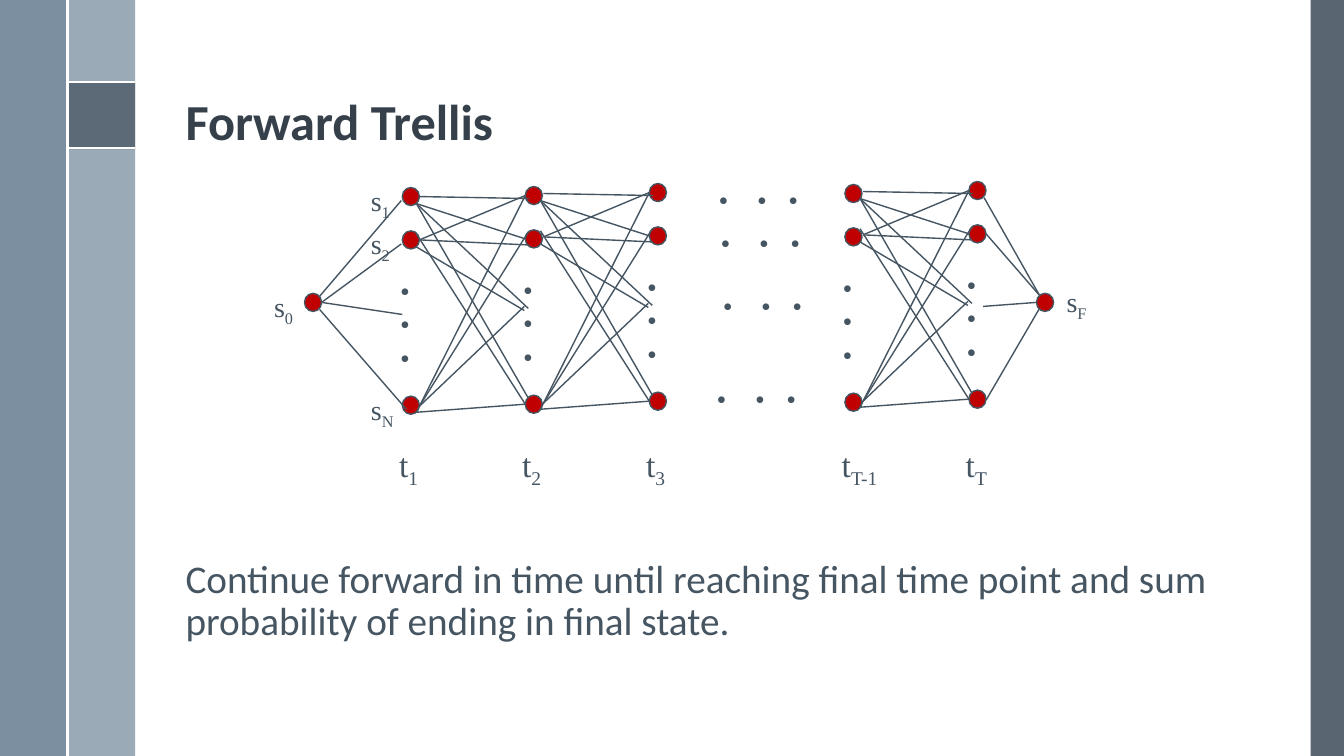
from dataclasses import dataclass

import lxml.etree
import pptx
import pptx.dml.color
import pptx.enum.shapes
import pptx.enum.text
import pptx.oxml.ns
import pptx.shapes.autoshape
import pptx.slide
import pptx.text.text
import pptx.util

Inches = pptx.util.Inches
Pt = pptx.util.Pt
RGBColor = pptx.dml.color.RGBColor
Shapes = pptx.enum.shapes.MSO_SHAPE
qn = pptx.oxml.ns.qn

WHITE = RGBColor(0xFF, 0xFF, 0xFF)
SLATE = RGBColor(0x46, 0x55, 0x62)
TITLE = RGBColor(0x35, 0x40, 0x4A)
RED = RGBColor(0xC0, 0x00, 0x00)
DARK_BAND = RGBColor(0x47, 0x55, 0x62)
LIGHT_BAND = RGBColor(0x9B, 0xAA, 0xB7)
BLUE_BAND = RGBColor(0x6A, 0x80, 0x93)
SERIF = "Times New Roman"
SANS = "Calibri"

NODE_WIDTH, NODE_HEIGHT = 0.17, 0.18
ROW_OFFSETS = (0, 0.43, 2.07)


@dataclass(frozen=True)
class Band:
    left: float
    top: float
    width: float
    height: float
    color: RGBColor
    opacity: int


@dataclass(frozen=True)
class Label:
    letter: str
    index: str
    left: float
    top: float
    width: float


@dataclass(frozen=True)
class Column:
    left: float
    top: float
    index: str
    label_width: float
    linked: bool


@dataclass(frozen=True)
class Link:
    x1: float
    y1: float
    x2: float
    y2: float


BANDS = (
    Band(13, 0, 0.33, 7.5, DARK_BAND, 90),
    Band(0.67, 0, 0.67, 7.5, LIGHT_BAND, 100),
    Band(0, 0, 0.67, 7.5, BLUE_BAND, 88),
    Band(0.67, 0.81, 0.67, 0.67, DARK_BAND, 75),
)
RULES = (Link(0.67, 0.81, 1.34, 0.81), Link(0.67, 1.47, 1.34, 1.47), Link(0.67, 0, 0.67, 7.5))
PI_OUTLINE = (
    (1.18, 0.98), (0.9, 0.98), (0.86, 1), (0.83, 1.04), (0.84, 1.05), (0.85, 1.05),
    (0.87, 1.02), (0.9, 1.01), (0.94, 1.01), (0.93, 1.14), (0.91, 1.22), (0.88, 1.27),
    (0.88, 1.29), (0.9, 1.29), (0.94, 1.21), (0.96, 1.11), (0.97, 1.01), (1.06, 1.01),
    (1.05, 1.22), (1.05, 1.26), (1.07, 1.29), (1.1, 1.3), (1.12, 1.3), (1.16, 1.28),
    (1.19, 1.22), (1.18, 1.21), (1.16, 1.22), (1.14, 1.26), (1.11, 1.28), (1.08, 1.27),
    (1.07, 1.22), (1.09, 1.01), (1.18, 1.01), (1.19, 1),
)
COLUMNS = (
    Column(3.99, 1.86, "1", 0.43, False),
    Column(5.21, 1.85, "2", 0.43, True),
    Column(6.44, 1.82, "3", 0.43, True),
    Column(8.38, 1.83, "T-1", 0.63, False),
    Column(9.61, 1.8, "T", 0.46, True),
)
INCOMING_LINKS = (
    Link(-1.05, 0.1, 0.04, 0.12),
    Link(-1.08, 0.17, 0, 0.52),
    Link(-1.08, 0.17, 0.03, 2.1),
    Link(-1.08, 0.17, 0.03, 1.21),
    Link(-1.05, 0.53, 0, 0.09),
    Link(-1.05, 0.53, 0.03, 0.58),
    Link(-1.08, 0.47, 0, 2.16),
    Link(-1.08, 2.24, 0, 0.09),
    Link(-1.05, 2.18, 0.03, 0.45),
    Link(-1.08, 2.24, 0, 2.16),
    Link(-1.05, 2.18, -0.01, 1.19),
    Link(-1.08, 0.6, -0.01, 1.23),
)
END_LINKS = (
    Link(3.17, 2.94, 3.98, 1.99),
    Link(3.19, 3, 3.98, 2.42),
    Link(3.19, 3, 3.99, 3.12),
    Link(3.17, 3.07, 4.03, 4.06),
    Link(9.76, 1.96, 10.31, 2.93),
    Link(9.78, 2.32, 10.31, 2.93),
    Link(9.75, 3.04, 10.28, 3),
    Link(9.78, 3.97, 10.31, 3.06),
)
END_NODES = ((3.02, 2.91), (10.28, 2.91))
STATE_LABELS = (
    Label("s", "1", 3.58, 1.77, 0.4),
    Label("s", "2", 3.58, 2.2, 0.4),
    Label("s", "N", 3.58, 3.84, 0.45),
    Label("s", "0", 2.62, 2.82, 0.4),
    Label("s", "F", 10.48, 2.77, 0.43),
)
ELLIPSES = ((7.03, 1.76), (7.05, 2.19), (7.07, 2.81), (7.01, 3.74))
ELLIPSIS_TABS = (0.38, 0.69)


def set_font(para: pptx.text.text._Paragraph, name: str, size: float, color: RGBColor) -> None:
    para.font.name = name
    para.font.size = Pt(size)
    para.font.color.rgb = color


def add_band(page: pptx.slide.Slide, band: Band) -> None:
    shape = page.shapes.add_shape(
        Shapes.RECTANGLE, Inches(band.left), Inches(band.top), Inches(band.width), Inches(band.height))
    shape.shadow.inherit = False
    shape.line.fill.background()
    shape.fill.solid()
    shape.fill.fore_color.rgb = band.color
    if band.opacity < 100:
        color = shape.fill._xPr.find(".//" + qn("a:srgbClr"))
        lxml.etree.SubElement(color, qn("a:alpha")).set("val", str(band.opacity * 1000))


def add_line(page: pptx.slide.Slide, link: Link, color: RGBColor, width: float,
             left: float = 0, top: float = 0) -> None:
    line = page.shapes.add_connector(
        pptx.enum.shapes.MSO_CONNECTOR.STRAIGHT,
        Inches(left + link.x1), Inches(top + link.y1), Inches(left + link.x2), Inches(top + link.y2))
    line.line.color.rgb = color
    line.line.width = Pt(width)
    lxml.etree.SubElement(line._element.spPr, qn("a:effectLst"))


def add_pi(page: pptx.slide.Slide) -> None:
    builder = page.shapes.build_freeform(*PI_OUTLINE[0], scale=Inches(1))
    builder.add_line_segments(PI_OUTLINE[1:], close=True)
    symbol = builder.convert_to_shape()
    symbol.shadow.inherit = False
    symbol.fill.solid()
    symbol.fill.fore_color.rgb = WHITE
    symbol.line.fill.background()


def add_node(page: pptx.slide.Slide, left: float, top: float) -> None:
    node = page.shapes.add_shape(
        Shapes.OVAL, Inches(left), Inches(top), Inches(NODE_WIDTH), Inches(NODE_HEIGHT))
    node.shadow.inherit = False
    node.fill.solid()
    node.fill.fore_color.rgb = RED
    node.line.color.rgb = SLATE
    node.line.width = Pt(1)


def add_text(page: pptx.slide.Slide, text: str, left: float, top: float, width: float,
             height: float, size: float = 20) -> pptx.shapes.autoshape.Shape:
    box = page.shapes.add_textbox(Inches(left), Inches(top), Inches(width), Inches(height))
    box.text_frame.word_wrap = False
    box.text_frame.auto_size = pptx.enum.text.MSO_AUTO_SIZE.SHAPE_TO_FIT_TEXT
    box.text_frame.text = text
    for para in box.text_frame.paragraphs:
        set_font(para, SERIF, size, SLATE)
    return box


def add_label(page: pptx.slide.Slide, label: Label, height: float, size: float) -> None:
    box = add_text(page, label.letter, label.left, label.top, label.width, height, size)
    span = box.text_frame.paragraphs[0].add_run()
    span.text = label.index
    span._r.get_or_add_rPr().set("baseline", "-25000")


def add_ellipsis(page: pptx.slide.Slide, left: float, top: float) -> None:
    box = add_text(page, "•\t•\t•", left, top, 1.08, 0.44)
    box.text_frame.word_wrap = True
    properties = box.text_frame.paragraphs[0]._p.get_or_add_pPr()
    tabs = lxml.etree.Element(qn("a:tabLst"))
    for position in ELLIPSIS_TABS:
        tab = lxml.etree.SubElement(tabs, qn("a:tab"))
        tab.set("pos", str(Inches(position)))
        tab.set("algn", "l")
    properties.insert(0, tabs)


def fill_placeholder(box: pptx.shapes.autoshape.Shape, text: str, top: float, height: float,
                     size: float, color: RGBColor, bold: bool) -> None:
    box.left, box.top, box.width, box.height = Inches(1.74), Inches(top), Inches(10.7), Inches(height)
    frame = box.text_frame
    frame.text = text
    frame.word_wrap = True
    frame.auto_size = pptx.enum.text.MSO_AUTO_SIZE.NONE
    frame.vertical_anchor = pptx.enum.text.MSO_ANCHOR.BOTTOM
    para = frame.paragraphs[0]
    para.alignment = pptx.enum.text.PP_ALIGN.LEFT
    para.line_spacing = 0.9
    para.space_before = Pt(0)
    set_font(para, SANS, size, color)
    para.font.bold = bold
    properties = para._p.get_or_add_pPr()
    properties.set("marL", "0")
    properties.set("indent", "0")
    properties.find(qn("a:defRPr")).addprevious(lxml.etree.Element(qn("a:buNone")))


def add_column(page: pptx.slide.Slide, column: Column) -> None:
    for offset in ROW_OFFSETS:
        add_node(page, column.left, column.top + offset)
    add_text(page, "•\n•\n•", column.left - 0.12, column.top + 0.8, 0.33, 1.11)
    add_label(page, Label("t", column.index, column.left - 0.13, 4.35, column.label_width), 0.5, 24)
    if column.linked:
        for link in INCOMING_LINKS:
            add_line(page, link, SLATE, 1, column.left, column.top)


def main() -> None:
    deck = pptx.Presentation()
    deck.slide_width, deck.slide_height = Inches(13.33), Inches(7.5)
    page = deck.slides.add_slide(deck.slide_layouts[1])
    for band in BANDS:
        add_band(page, band)
    for rule in RULES:
        add_line(page, rule, WHITE, 1.5)
    add_pi(page)
    fill_placeholder(page.shapes.title, "Forward Trellis", 0.19, 1.36, 36, TITLE, True)
    body = page.placeholders[1]
    fill_placeholder(
        body, "Continue forward in time until reaching final time point and sum "
        "probability of ending in final state.", 1.75, 5, 28, SLATE, False)
    body.text_frame.margin_bottom = Inches(0.36)
    for column in COLUMNS:
        add_column(page, column)
    for left, top in END_NODES:
        add_node(page, left, top)
    for label in STATE_LABELS:
        add_label(page, label, 0.44, 20)
    for left, top in ELLIPSES:
        add_ellipsis(page, left, top)
    for link in END_LINKS:
        add_line(page, link, SLATE, 1)
    deck.save("out.pptx")


if __name__ == "__main__":
    main()
